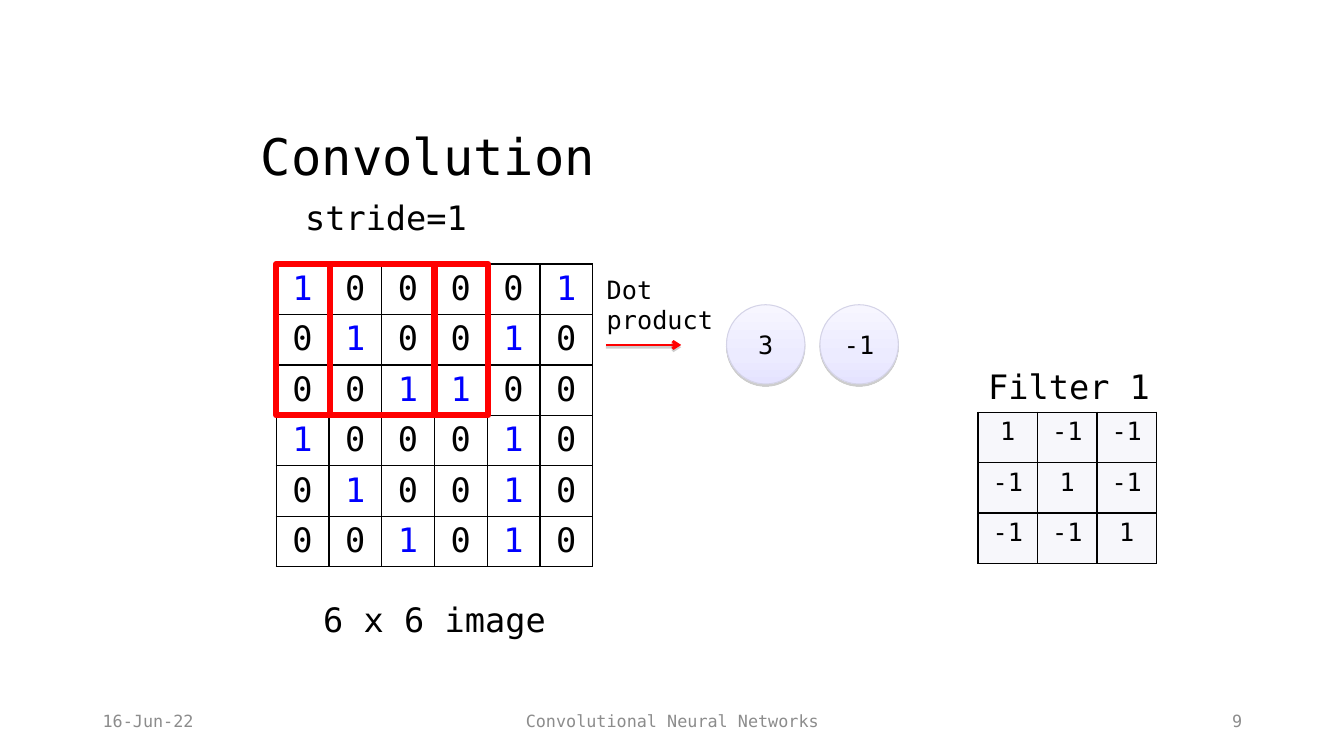
from lxml import etree
from pptx import Presentation
from pptx.dml.color import RGBColor
from pptx.enum.shapes import MSO_CONNECTOR, MSO_SHAPE
from pptx.enum.text import MSO_ANCHOR, PP_ALIGN
from pptx.oxml import parse_xml
from pptx.oxml.ns import qn
from pptx.util import Inches, Pt

WIDE, HIGH = 13.33, 7.5
COL, ROW = WIDE / 100, HIGH / 100
FONT = "DejaVu Sans Mono"
BLACK = RGBColor(0, 0, 0)
BLUE = RGBColor(0, 0, 255)
RED = RGBColor(255, 0, 0)
GRAY = RGBColor(0x8C, 0x8C, 0x8C)
PALE = RGBColor(0xF7, 0xF7, 0xFB)
RIM = RGBColor(0xD4, 0xD3, 0xE7)
STOPS = ((0, "F7F6FF"), (65, "ECEBFF"), (100, "E5E3FF"))
LEFT, MID, RIGHT = PP_ALIGN.LEFT, PP_ALIGN.CENTER, PP_ALIGN.RIGHT
TOP, CENTER = MSO_ANCHOR.TOP, MSO_ANCHOR.MIDDLE
RECT, OVAL = MSO_SHAPE.RECTANGLE, MSO_SHAPE.OVAL
LINE = MSO_CONNECTOR.STRAIGHT
NS = "http://schemas.openxmlformats.org/drawingml/2006/main"

PIXELS = ("100001", "010010", "001100", "100010", "010010", "001010")
KERNEL = (("1", "-1", "-1"), ("-1", "1", "-1"), ("-1", "-1", "1"))
RESULTS = ("3", "-1")


def grid(x, y, w, h):
    """Return a box in inches from slide columns and rows."""
    return x * COL, y * ROW, w * COL, h * ROW


def part(box, x, y, w, h):
    """Return a box given as shares of another box."""
    left, top, wide, high = box
    return left + x * wide, top + y * high, w * wide, h * high


def emu(box):
    """Convert a box or point from inches."""
    return [Inches(n) for n in box]


def style(frame, size, color=BLACK, align=LEFT):
    """Format all text in a frame."""
    for para in frame.paragraphs:
        para.alignment = align
        for run in para.runs:
            font = run.font
            font.name, font.size, font.color.rgb = FONT, Pt(size), color


def label(slide, box, text, size, color=BLACK, align=LEFT, anchor=TOP, wrap=True):
    """Add a text box and return its frame."""
    frame = slide.shapes.add_textbox(*emu(box)).text_frame
    frame.word_wrap = wrap
    frame.vertical_anchor = anchor
    frame.text = text
    style(frame, size, color, align)
    return frame


def shade(shape):
    """Give a shape or connector a small shadow below it."""
    props = shape._element.spPr
    for old in props.findall(qn("a:effectLst")):
        props.remove(old)
    props.append(parse_xml(
        f'<a:effectLst xmlns:a="{NS}"><a:outerShdw blurRad="0" dist="20320" '
        'dir="5400000" rotWithShape="0"><a:srgbClr val="808080">'
        '<a:alpha val="38000"/></a:srgbClr></a:outerShdw></a:effectLst>'))


def edge(cell):
    """Draw thin black borders around a table cell."""
    props = cell._tc.get_or_add_tcPr()
    for spot, side in enumerate(("lnL", "lnR", "lnT", "lnB")):
        props.insert(spot, parse_xml(
            f'<a:{side} xmlns:a="{NS}" w="12700"><a:solidFill>'
            f'<a:srgbClr val="{BLACK}"/></a:solidFill></a:{side}>'))


def matrix(slide, box, values, size, fill=None, ones=BLACK):
    """Add a bordered table of numbers with even cells."""
    rows, cols = len(values), len(values[0])
    table = slide.shapes.add_table(rows, cols, *emu(box)).table
    table.first_row = table.horz_banding = False
    for col in table.columns:
        col.width = Inches(box[2] / cols)
    for row, line in zip(table.rows, values):
        row.height = Inches(box[3] / rows)
        for cell, value in zip(row.cells, line):
            cell.text = value
            style(cell.text_frame, size, ones if value == "1" else BLACK, MID)
            if fill is None:
                cell.fill.background()
            else:
                cell.fill.solid()
                cell.fill.fore_color.rgb = fill
            edge(cell)


def window(slide, box):
    """Add a red outline around a filter position."""
    shape = slide.shapes.add_shape(RECT, *emu(box))
    shape.fill.background()
    shape.line.color.rgb = RED
    shape.line.width = Pt(4.5)
    shape.shadow.inherit = False


def ball(slide, box, text):
    """Add a shaded circle holding one result."""
    shape = slide.shapes.add_shape(OVAL, *emu(box))
    shape.fill.gradient()
    shape.fill.gradient_angle = 270
    stops = shape._element.spPr.find(qn("a:gradFill")).find(qn("a:gsLst"))
    for old in list(stops):
        stops.remove(old)
    for spot, color in STOPS:
        stop = etree.SubElement(stops, qn("a:gs"), pos=str(spot * 1000))
        etree.SubElement(stop, qn("a:srgbClr"), val=color)
    shape.line.color.rgb = RIM
    shape.line.width = Pt(0.75)
    shade(shape)
    frame = shape.text_frame
    frame.margin_left = frame.margin_right = 0
    frame.vertical_anchor = CENTER
    frame.text = text
    style(frame, 18, BLACK, MID)


def title(slide, box):
    """Add the slide title."""
    frame = label(slide, box, "Convolution", 36, anchor=CENTER)
    frame.paragraphs[0].line_spacing = 0.9


def image(slide, box):
    """Add the pixel grid, its labels and the filter windows."""
    matrix(slide, box, PIXELS, 24, ones=BLUE)
    label(slide, part(box, 0.09, 1.09, 0.82, 0.17), "6 x 6 image", 24, align=MID)
    label(slide, part(box, 0.06, -0.24, 0.58, 0.17), "stride=1", 24, wrap=False)
    for step in range(2):
        window(slide, part(box, 0.17 * step, 0, 0.5, 0.5))


def kernel(slide, box):
    """Add the filter grid with its heading."""
    matrix(slide, box, KERNEL, 18, PALE)
    label(slide, part(box, -0.15, -0.34, 1.32, 0.33), "Filter 1", 24, align=MID)


def product(slide, box):
    """Add the dot product arrow and its results."""
    for step, value in enumerate(RESULTS):
        ball(slide, part(box, 0.43 + 0.31 * step, 0.31, 0.26, 0.69), value)
    x, y, w, _ = part(box, 0.03, 0.66, 0.25, 0)
    arrow = slide.shapes.add_connector(LINE, *emu((x, y, x + w, y)))
    arrow.line.color.rgb = RED
    arrow.line.width = Pt(2)
    etree.SubElement(arrow.line._get_or_add_ln(), qn("a:tailEnd"), type="arrow")
    shade(arrow)
    label(slide, part(box, 0, 0, 0.42, 0.62), "Dot\nproduct", 18, wrap=False)


def footer(slide, box):
    """Add the date, topic and page number."""
    for x, w, text, align in (
        (0, 0.26, "16-Jun-22", LEFT),
        (0.3, 0.4, "Convolutional Neural Networks", MID),
        (0.74, 0.26, "9", RIGHT),
    ):
        label(slide, part(box, x, 0, w, 1), text, 12, GRAY, align, CENTER)


def main():
    """Build and save the slide."""
    deck = Presentation()
    deck.slide_width, deck.slide_height = Inches(WIDE), Inches(HIGH)
    slide = deck.slides.add_slide(deck.slide_layouts[6])
    title(slide, grid(18.68, 17.47, 64.67, 7.2))
    image(slide, grid(20.55, 34.93, 23.56, 40))
    kernel(slide, grid(72.77, 54.53, 13.28, 20))
    product(slide, grid(44.41, 35.6, 22.43, 15.2))
    footer(slide, grid(6.9, 92.67, 86.27, 5.33))
    deck.save("out.pptx")


if __name__ == "__main__":
    main()
